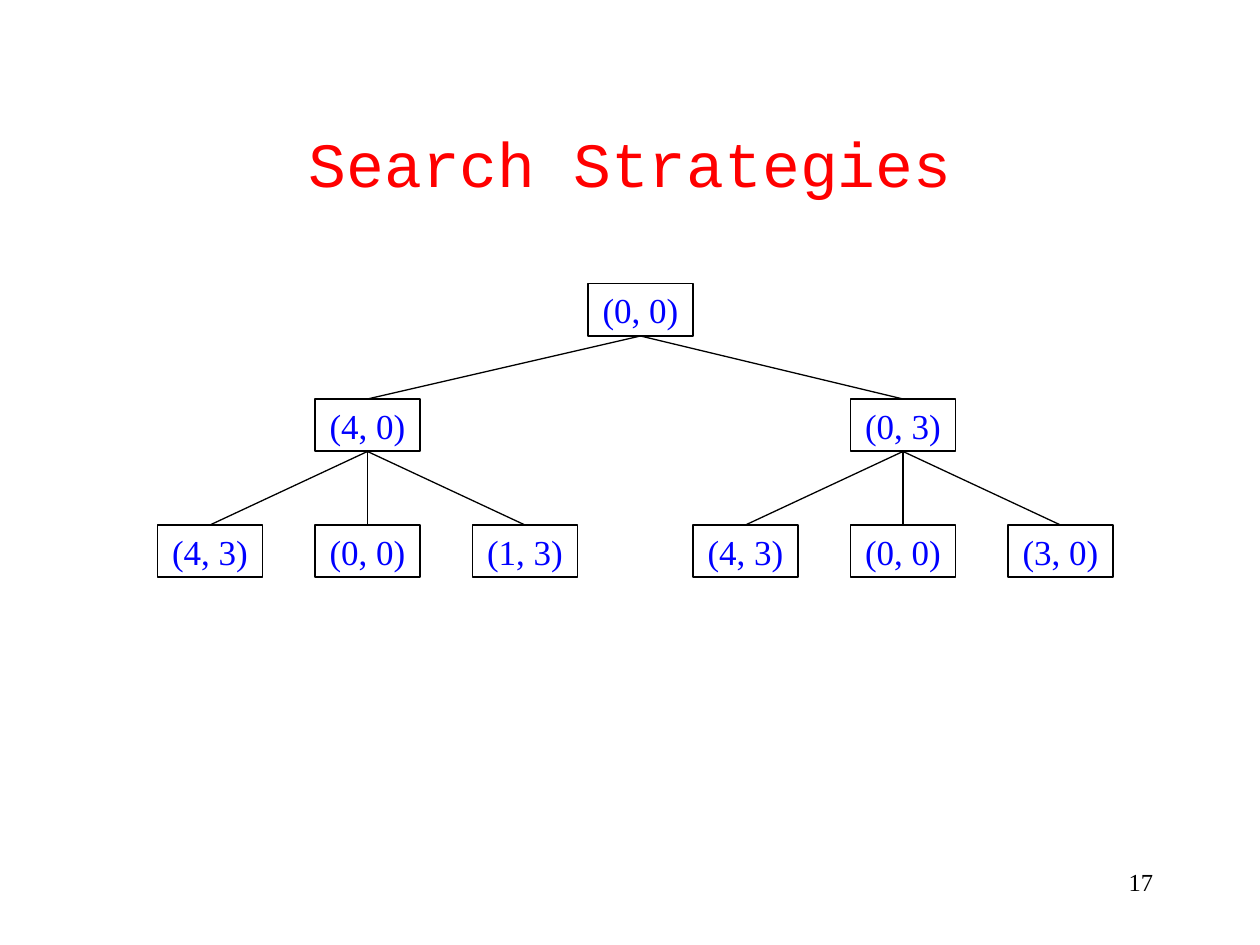
from pptx import Presentation
from pptx import util as u
from pptx.dml.color import RGBColor
from pptx.enum import shapes, text
from pptx.oxml.ns import qn
from lxml import etree

GRID = u.Inches(1) // 12
NODE_COLS, NODE_ROWS = 10, 5
SIBLING_STEP = 15
BRANCH_ROW, LEAF_ROW = 11, 23
ROOT_COL = 41
TOP, BOTTOM = 0, 2
BRANCHES = [
    (0, "(4, 0)", ["(4, 3)", "(0, 0)", "(1, 3)"]),
    (51, "(0, 3)", ["(4, 3)", "(0, 0)", "(3, 0)"]),
]


def color(value):
    return RGBColor.from_string(value)


def cells(*counts):
    return [count * GRID for count in counts]


def write(frame, words, font_name, size, ink, align, anchor):
    frame.vertical_anchor = anchor
    paragraph = frame.paragraphs[0]
    paragraph.text = words
    paragraph.alignment = align
    paragraph.font.name = font_name
    paragraph.font.size = u.Pt(size)
    paragraph.font.color.rgb = color(ink)


def add_label(slide, box, words, font_name, size, ink, align, anchor):
    label = slide.shapes.add_textbox(*cells(*box))
    label.text_frame.word_wrap = True
    write(label.text_frame, words, font_name, size, ink, align, anchor)


def add_node(slide, col, row, state):
    node = slide.shapes.add_shape(
        shapes.MSO_SHAPE.RECTANGLE, *cells(col, row, NODE_COLS, NODE_ROWS))
    node.shadow.inherit = False
    node.fill.background()
    node.line.color.rgb = color("000000")
    node.line.width = u.Pt(1)
    node.text_frame.word_wrap = False
    write(node.text_frame, state, "Times New Roman", 20, "0000FF",
          text.PP_ALIGN.CENTER, text.MSO_ANCHOR.MIDDLE)
    return node


def join(slide, parent, child):
    edge = slide.shapes.add_connector(shapes.MSO_CONNECTOR.STRAIGHT, 0, 0, 0, 0)
    edge.begin_connect(parent, BOTTOM)
    edge.end_connect(child, TOP)
    edge.line.color.rgb = color("000000")
    edge.line.width = u.Pt(0.75)
    etree.SubElement(edge._element.spPr, qn("a:effectLst"))


def add_tree(slide, left, top):
    root = add_node(slide, left + ROOT_COL, top, "(0, 0)")
    for offset, state, leaves in BRANCHES:
        start = left + offset
        branch = add_node(slide, start + SIBLING_STEP, top + BRANCH_ROW, state)
        join(slide, root, branch)
        for index, leaf_state in enumerate(leaves):
            leaf = add_node(slide, start + index * SIBLING_STEP, top + LEAF_ROW, leaf_state)
            join(slide, branch, leaf)


def main():
    deck = Presentation()
    deck.slide_width, deck.slide_height = cells(120, 90)
    slide = deck.slides.add_slide(deck.slide_layouts[6])
    add_label(slide, (86, 82, 25, 6), "17", "Times New Roman", 14, "000000",
              text.PP_ALIGN.RIGHT, text.MSO_ANCHOR.TOP)
    add_label(slide, (4, 8, 112, 15), "Search Strategies", "Courier New", 36, "FF0000",
              text.PP_ALIGN.CENTER, text.MSO_ANCHOR.MIDDLE)
    add_tree(slide, 15, 27)
    deck.save("out.pptx")


if __name__ == "__main__":
    main()
